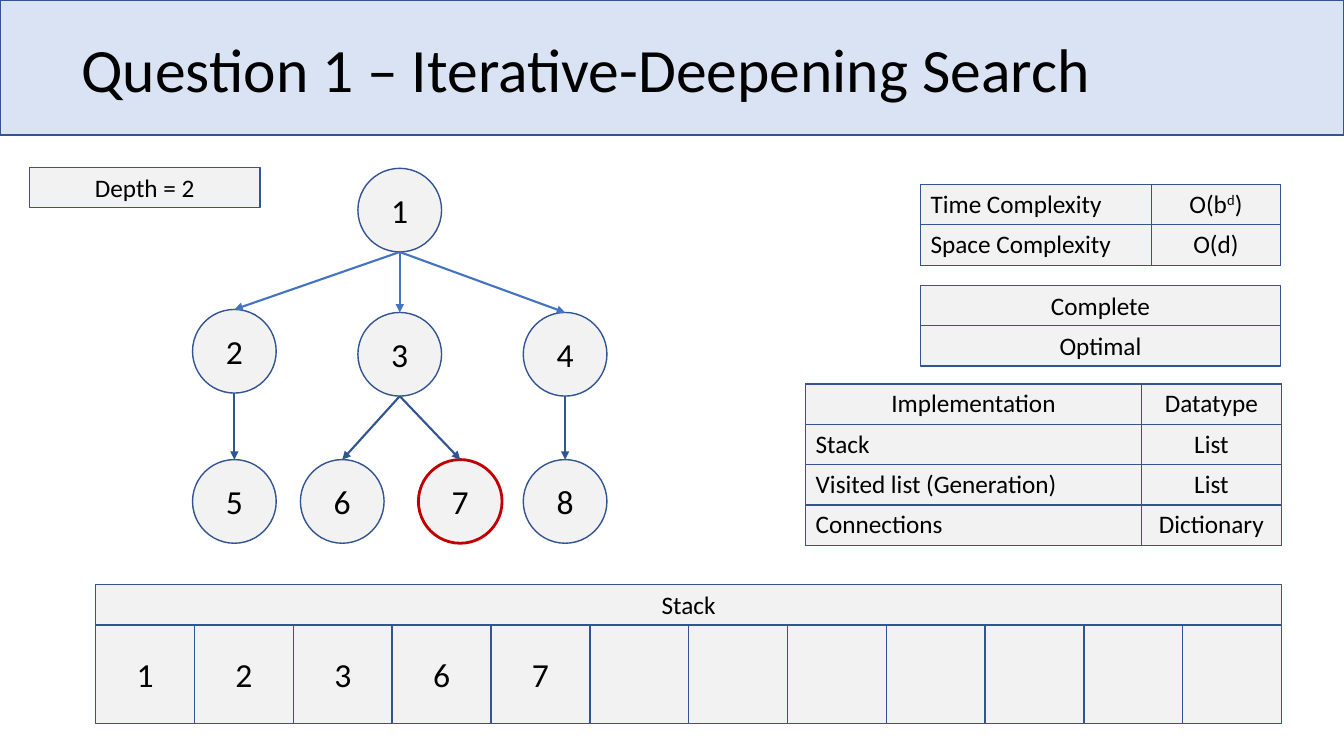
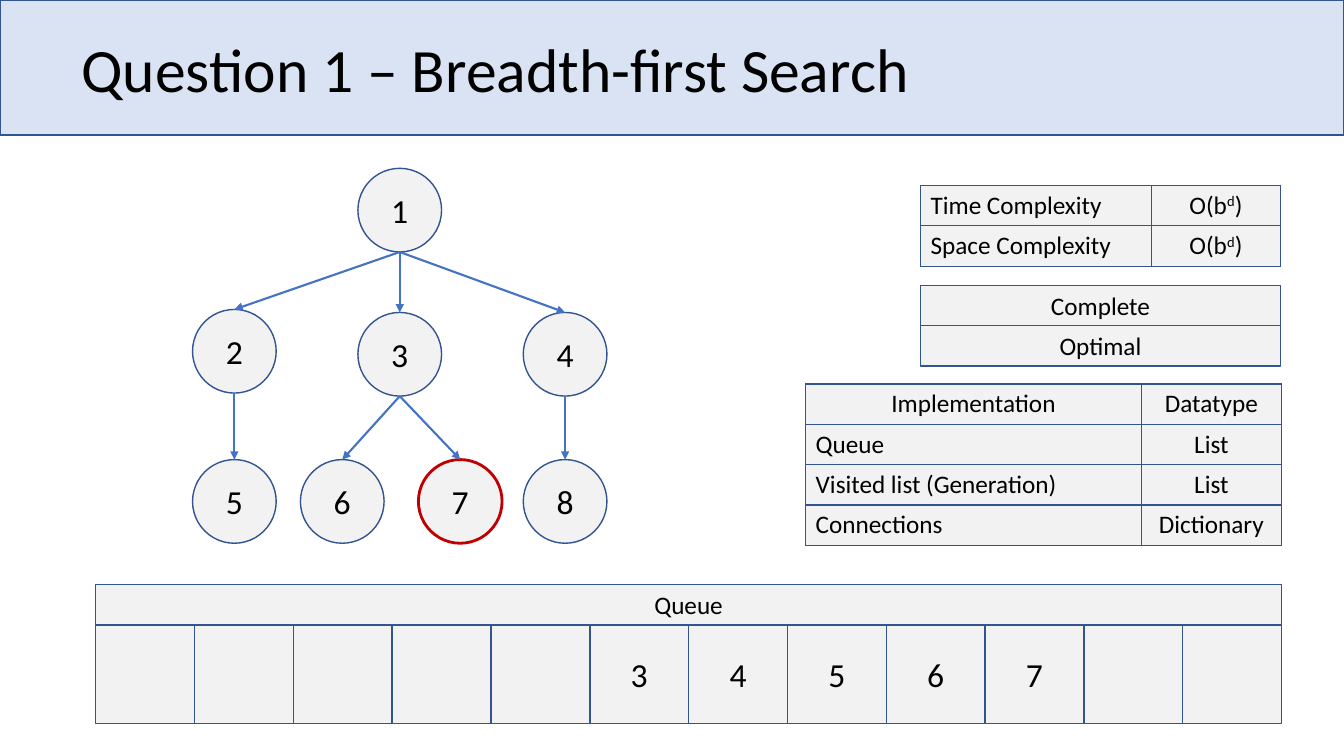
from lxml.etree import SubElement
from pptx import Presentation
from pptx.dml.color import RGBColor
from pptx.enum.shapes import MSO_CONNECTOR, MSO_SHAPE
from pptx.enum.text import MSO_ANCHOR, PP_ALIGN
from pptx.oxml import parse_xml
from pptx.oxml.ns import nsdecls, qn
from pptx.util import Inches, Pt

BAND = RGBColor(0xDA, 0xE3, 0xF3)
GREY = RGBColor(0xF2, 0xF2, 0xF2)
NAVY = RGBColor(0x32, 0x54, 0x91)
BLUE = RGBColor(0x44, 0x72, 0xC4)
RED = RGBColor(0xC0, 0x00, 0x00)
BLACK = RGBColor(0x00, 0x00, 0x00)
FONT = "Calibri"

SLIDES = [
    {
        "title": "Question 1 – Iterative-Deepening Search",
        "depth": "Depth = 2",
        "space": "O(d)",
        "complexity_top": 1.83,
        "structure": "Stack",
        "cells": ["1", "2", "3", "6", "7", "", "", "", "", "", "", ""],
        "leaf_arrow": NAVY,
    },
    {
        "title": "Question 1 – Breadth-first Search",
        "depth": None,
        "space": "O(b^d)",
        "complexity_top": 1.84,
        "structure": "Queue",
        "cells": ["", "", "", "", "", "3", "4", "5", "6", "7", "", ""],
        "leaf_arrow": BLUE,
    },
]
PROPERTIES = ["Complete", "Optimal"]
NODES = {
    "1": (3.55, 1.67),
    "2": (1.91, 3.07), "3": (3.55, 3.1), "4": (5.19, 3.1),
    "5": (1.91, 4.56), "6": (2.98, 4.56), "7": (4.15, 4.56), "8": (5.19, 4.56),
}
EDGES = ["13", "12", "14", "25", "36", "37", "48"]
ROOT, GOAL = "1", "7"
NODE, ROW, CELL = 0.83, 0.4, 0.98
GRID_LEFT, GRID_TOP = 0.95, 6.2


def write(tf, text, size=18, align=PP_ALIGN.CENTER, spacing=None):
    p = tf.paragraphs[0]
    p.alignment = align
    if spacing:
        p.line_spacing = spacing
    base, _, rest = text.partition("^")
    for part, raised in ((base, False), (rest[:1], True), (rest[1:], False)):
        if part:
            r = p.add_run()
            r.text = part
            r.font.name, r.font.size = FONT, Pt(size)
            r.font.color.rgb = BLACK
            if raised:
                r._r.get_or_add_rPr().set("baseline", "30000")


def add_box(s, x, y, w, h, text="", size=18, kind=MSO_SHAPE.RECTANGLE,
            fill=GREY, line=NAVY, weight=1):
    sp = s.shapes.add_shape(kind, Inches(x), Inches(y), Inches(w), Inches(h))
    sp.shadow.inherit = False
    sp.fill.solid()
    sp.fill.fore_color.rgb = fill
    sp.line.color.rgb = line
    sp.line.width = Pt(weight)
    sp.text_frame.vertical_anchor = MSO_ANCHOR.MIDDLE
    if text:
        write(sp.text_frame, text, size)


def add_title(s, text):
    add_box(s, 0, 0, 13.33, 1.34, fill=BAND)
    tb = s.shapes.add_textbox(Inches(0.71), Inches(-0.01), Inches(11.5), Inches(1.45))
    tf = tb.text_frame
    tf.word_wrap = True
    tf.vertical_anchor = MSO_ANCHOR.MIDDLE
    write(tf, text, 44, PP_ALIGN.LEFT, spacing=0.9)


def add_arrow(s, x1, y1, x2, y2, color):
    c = s.shapes.add_connector(MSO_CONNECTOR.STRAIGHT,
                               Inches(x1), Inches(y1), Inches(x2), Inches(y2))
    c.line.color.rgb = color
    c.line.width = Pt(1.5)
    SubElement(c.line._get_or_add_ln(), qn("a:tailEnd"), type="triangle")
    SubElement(c._element.spPr, qn("a:effectLst"))


def add_tree(s, leaf_arrow):
    for name, (x, y) in NODES.items():
        line, weight = (RED, 2) if name == GOAL else (NAVY, 1)
        add_box(s, x, y, NODE, NODE, name, 24, MSO_SHAPE.OVAL, line=line, weight=weight)
    for parent, child in EDGES:
        (x1, y1), (x2, y2) = NODES[parent], NODES[child]
        add_arrow(s, x1 + NODE / 2, y1 + NODE, x2 + NODE / 2, y2,
                  BLUE if parent == ROOT else leaf_arrow)


def add_borders(cell):
    tc_pr = cell._tc.get_or_add_tcPr()
    for i, side in enumerate(("lnL", "lnR", "lnT", "lnB")):
        tc_pr.insert(i, parse_xml(
            f'<a:{side} {nsdecls("a")} w="12700"><a:solidFill>'
            f'<a:srgbClr val="{NAVY}"/></a:solidFill></a:{side}>'))


def add_grid(s, x, y, widths, rows, header=False):
    table = s.shapes.add_table(len(rows), len(widths), Inches(x), Inches(y),
                               Inches(sum(widths)), Inches(ROW * len(rows))).table
    table.first_row = header
    table.horz_banding = False
    for column, width in zip(table.columns, widths):
        column.width = Inches(width)
    for i, row in enumerate(rows):
        table.rows[i].height = Inches(ROW)
        for j, text in enumerate(row):
            cell = table.cell(i, j)
            cell.margin_top = cell.margin_bottom = Inches(0.02)
            cell.vertical_anchor = MSO_ANCHOR.MIDDLE
            cell.fill.solid()
            cell.fill.fore_color.rgb = GREY
            add_borders(cell)
            left = j == 0 and not (header and i == 0)
            write(cell.text_frame, text, align=PP_ALIGN.LEFT if left else PP_ALIGN.CENTER)
            for r in cell.text_frame.paragraphs[0].runs:
                r.font.bold = False


def add_search_slide(prs, data):
    s = prs.slides.add_slide(prs.slide_layouts[6])
    add_title(s, data["title"])
    if data["depth"]:
        add_box(s, 0.29, 1.66, 2.29, ROW, data["depth"])
    add_tree(s, data["leaf_arrow"])
    add_grid(s, 9.13, data["complexity_top"], (2.29, 1.28),
             [("Time Complexity", "O(b^d)"), ("Space Complexity", data["space"])])
    for i, text in enumerate(PROPERTIES):
        add_box(s, 9.13, 2.83 + i * ROW, 3.57, ROW, text)
    add_grid(s, 7.99, 3.81, (3.33, 1.39),
             [("Implementation", "Datatype"), (data["structure"], "List"),
              ("Visited list (Generation)", "List"), ("Connections", "Dictionary")],
             header=True)
    add_box(s, GRID_LEFT, GRID_TOP - ROW, CELL * len(data["cells"]), ROW, data["structure"])
    for i, text in enumerate(data["cells"]):
        add_box(s, GRID_LEFT + i * CELL, GRID_TOP, CELL, CELL, text, 24)


def main():
    prs = Presentation()
    prs.slide_width, prs.slide_height = Inches(13.33), Inches(7.5)
    for data in SLIDES:
        add_search_slide(prs, data)
    prs.save("out.pptx")


if __name__ == "__main__":
    main()
